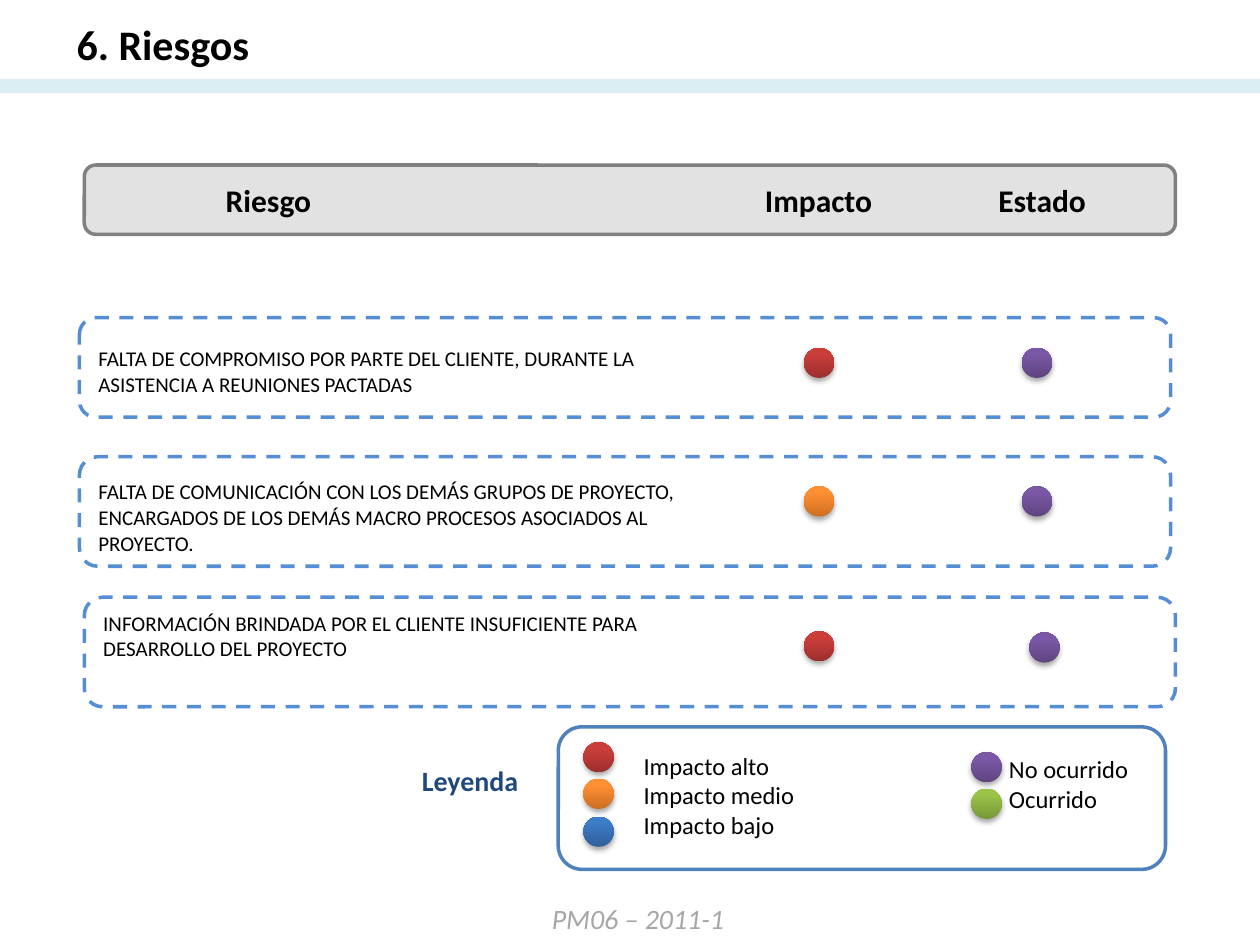
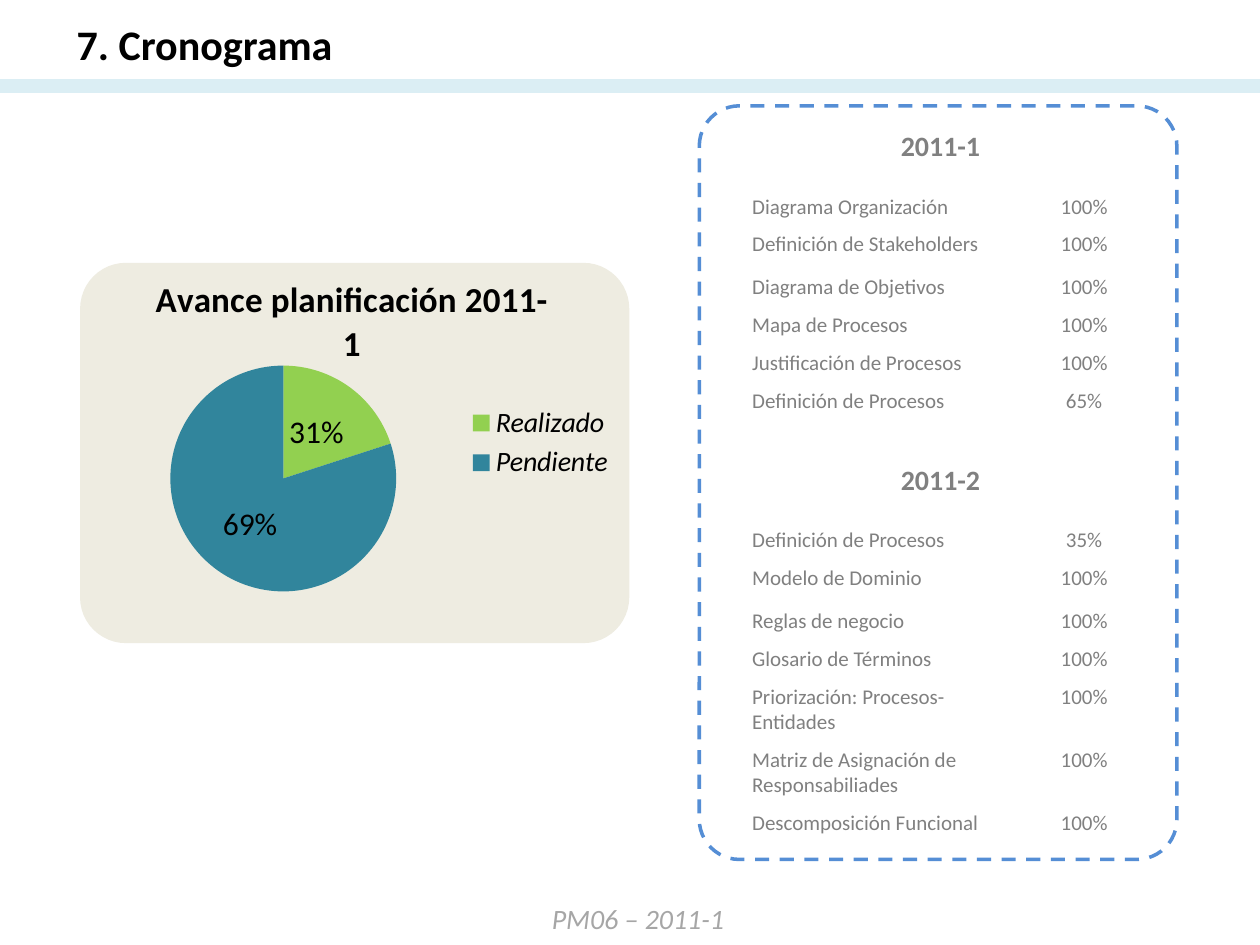
"""Build the risk and schedule slides of the project report."""
from dataclasses import dataclass

from lxml import etree
from pptx import Presentation
from pptx.chart.data import CategoryChartData
from pptx.dml.color import RGBColor
from pptx.enum.chart import XL_CHART_TYPE, XL_LABEL_POSITION, XL_LEGEND_POSITION
from pptx.enum.dml import MSO_LINE
from pptx.enum.shapes import MSO_CONNECTOR, MSO_SHAPE
from pptx.enum.text import PP_ALIGN
from pptx.oxml.ns import qn
from pptx.util import Pt

PIE = XL_CHART_TYPE.PIE
MIDDLE = XL_LABEL_POSITION.CENTER
RIGHT = XL_LEGEND_POSITION.RIGHT
DASH = MSO_LINE.DASH
STRAIGHT = MSO_CONNECTOR.STRAIGHT
ROUND = MSO_SHAPE.ROUNDED_RECTANGLE
OVAL = MSO_SHAPE.OVAL
LEFT = PP_ALIGN.LEFT
CENTER = PP_ALIGN.CENTER
FONT = "Calibri"
DOT = 17.3

COLORS = {
    "black": "000000", "band": "DBEEF4", "foot": "A6A6A6", "gray": "808080",
    "head": "BFBFBF", "dash": "558ED5", "frame": "4F81BD", "navy": "1F497D",
    "card": "EEECE1", "done": "92D050", "open": "31859C",
}
DOTS = {
    "red": ("9C2F2D", "CB3E3A"), "orange": ("CC6E20", "FF9034"),
    "blue": ("2F5F99", "3D7CC7"), "purple": ("5F4480", "7B58A6"),
    "green": ("779737", "9BC348"),
}


@dataclass
class Style:
    size: float
    color: str = "black"
    bold: bool = False
    italic: bool = False
    align: PP_ALIGN = LEFT


@dataclass
class Box:
    x: float
    y: float
    w: float
    h: float

    def spread(self) -> list:
        return [Pt(v) for v in (self.x, self.y, self.w, self.h)]


@dataclass
class Label:
    text: str
    box: Box
    style: Style
    wrap: bool = True


@dataclass
class Risk:
    text: str
    box: Box
    top: float
    high: float
    impact: str
    spots: tuple


@dataclass
class Term:
    name: str
    top: float
    tasks: list
    rows: list


HEAD = Style(18, bold=True, align=CENTER)
TASK = Style(12, "gray")
SHARE = Style(12, "gray", align=CENTER)
PERIOD = Style(16, "gray", bold=True, align=CENTER)

HEADS = [
    Label("Riesgo", Box(99.4, 100, 108, 28.8), HEAD),
    Label("Impacto", Box(405.4, 100, 124.6, 28.8), HEAD),
    Label("Estado", Box(553, 100, 85, 28.8), HEAD),
]
RISKS = [
    Risk("FALTA DE COMPROMISO POR PARTE DEL CLIENTE, DURANTE LA ASISTENCIA A "
         "REUNIONES PACTADAS", Box(45.4, 181.5, 623.5, 56.9), 187.2, 50.4,
         "red", ((459.4, 198.7), (583.9, 198.7))),
    Risk("FALTA DE COMUNICACIÓN CON LOS DEMÁS GRUPOS DE PROYECTO, ENCARGADOS DE "
         "LOS DEMÁS MACRO PROCESOS ASOCIADOS AL PROYECTO.",
         Box(45.4, 261, 623.5, 62.6), 263.5, 77,
         "orange", ((459.4, 277.9), (583.9, 277.9))),
    Risk("INFORMACIÓN BRINDADA POR EL CLIENTE INSUFICIENTE PARA\n"
         "DESARROLLO DEL PROYECTO", Box(48.2, 341.3, 623.5, 62.6), 338.4, 50.4,
         "red", ((459.4, 360.7), (588.2, 361.4))),
]
KEY = [
    Label("Impacto alto\nImpacto medio\nImpacto bajo",
          Box(360.7, 425.5, 198.7, 58.3), Style(14)),
    Label("No ocurrido\nOcurrido", Box(569.5, 427.5, 198.7, 41), Style(14)),
    Label("Leyenda", Box(234, 432.7, 198.7, 26.6), Style(16, "navy", bold=True)),
]
MARKS = [
    ("red", 333.4, 424.1), ("orange", 333.4, 445), ("blue", 333.4, 466.6),
    ("purple", 555.1, 429.8), ("green", 555.1, 450.7),
]
ROWS = [36.7, 20.9, 24.5, 21.6, 21.6, 21.6, 28.1]
TERMS = [
    Term("2011-1", 70.6, [
        ("Diagrama Organización", "100%"), ("Definición de Stakeholders", "100%"),
        ("Diagrama de Objetivos", "100%"), ("Mapa de Procesos", "100%"),
        ("Justificación de Procesos", "100%"), ("Definición de Procesos", "65%"),
    ], ROWS),
    Term("2011-2", 261.4, [
        ("Definición de Procesos", "35%"), ("Modelo de Dominio", "100%"),
        ("Reglas de negocio", "100%"), ("Glosario de Términos", "100%"),
        ("Priorización: Procesos-Entidades", "100%"),
        ("Matriz de Asignación de Responsabiliades", "100%"),
        ("Descomposición Funcional", "100%"),
    ], ROWS + [28.1]),
]


def shade(name: str) -> RGBColor:
    return RGBColor.from_string(COLORS[name])


def dress(font, style: Style) -> None:
    font.name, font.size = FONT, Pt(style.size)
    font.bold, font.italic = style.bold, style.italic
    font.color.rgb = shade(style.color)


def write(frame, text: str, style: Style) -> None:
    frame.text = text
    for para in frame.paragraphs:
        para.alignment = style.align
        for run in para.runs:
            dress(run.font, style)


def label(slide, item: Label) -> None:
    frame = slide.shapes.add_textbox(*item.box.spread()).text_frame
    frame.word_wrap = item.wrap
    write(frame, item.text, item.style)


def panel(slide, box: Box, line: str, fill: str = "", dash: bool = False,
          curve: float = 0.1667):
    shape = slide.shapes.add_shape(ROUND, *box.spread())
    shape.shadow.inherit = False
    shape.adjustments[0] = curve
    shape.line.color.rgb = shade(line)
    shape.line.width = Pt(2)
    if dash:
        shape.line.dash_style = DASH
    if fill:
        shape.fill.solid()
        shape.fill.fore_color.rgb = shade(fill)
    else:
        shape.fill.background()
    return shape


def dot(slide, name: str, x: float, y: float) -> None:
    shape = slide.shapes.add_shape(OVAL, *Box(x, y, DOT, DOT).spread())
    shape.line.fill.background()
    shape.fill.gradient()
    shape.fill.gradient_angle = 90
    stops = shape.fill.gradient_stops
    for stop, tone, place in zip(stops, DOTS[name], (0, 0.8)):
        stop.color.rgb = RGBColor.from_string(tone)
        stop.position = place
    shape.shadow.inherit = False
    effect = shape._element.spPr.find(qn("a:effectLst"))
    cast = etree.SubElement(effect, qn("a:outerShdw"), blurRad=str(Pt(3.1)),
                            dist=str(Pt(1.8)), dir="5400000", rotWithShape="0")
    tone = etree.SubElement(cast, qn("a:srgbClr"), val=COLORS["black"])
    etree.SubElement(tone, qn("a:alpha"), val="35000")


def grid(slide, box: Box, cols: list, rows: list):
    table = slide.shapes.add_table(len(rows), len(cols), *box.spread()).table
    for col, width in zip(table.columns, cols):
        col.width = Pt(width)
    for row, height in zip(table.rows, rows):
        row.height = Pt(height)
    for cell in table.iter_cells():
        cell.fill.background()
    return table


def start(deck, title: str):
    slide = deck.slides.add_slide(deck.slide_layouts[6])
    band = slide.shapes.add_connector(STRAIGHT, 0, Pt(49), Pt(720), Pt(49))
    band.line.color.rgb = shade("band")
    band.line.width = Pt(8)
    etree.SubElement(band._element.spPr, qn("a:effectLst"))
    label(slide, Label(title, Box(36.7, 7.2, 362.9, 36), Style(24, bold=True)))
    label(slide, Label("PM06 – 2011-1", Box(308.2, 511.9, 114.5, 26.6),
                       Style(16, "foot", italic=True), wrap=False))
    return slide


def entry(slide, risk: Risk) -> None:
    area = Box(risk.box.x, risk.top, 612.8, risk.high)
    cell = grid(slide, area, [358.6, 111.6, 142.6], [risk.high]).cell(0, 0)
    cell.margin_left = cell.margin_right = Pt(10.8)
    cell.margin_top = cell.margin_bottom = Pt(10.8)
    write(cell.text_frame, risk.text, Style(12))
    panel(slide, risk.box, "dash", dash=True)
    for name, spot in zip((risk.impact, "purple"), risk.spots):
        dot(slide, name, *spot)


def risks(deck) -> None:
    slide = start(deck, "6. Riesgos")
    head = panel(slide, Box(48.2, 94.3, 623.5, 39.6), "gray", "head")
    tone = head._element.spPr.find(qn("a:solidFill"))[0]
    etree.SubElement(tone, qn("a:alpha"), val="45000")
    for risk in RISKS:
        entry(slide, risk)
    panel(slide, Box(319, 415.4, 347, 81.4), "frame")
    for item in HEADS + KEY:
        label(slide, item)
    for mark in MARKS:
        dot(slide, *mark)


def place(parent, index: int, **sides: float) -> None:
    for old in parent.findall(qn("c:layout")):
        parent.remove(old)
    layout = etree.Element(qn("c:layout"))
    manual = etree.SubElement(layout, qn("c:manualLayout"))
    if "w" in sides:
        etree.SubElement(manual, qn("c:layoutTarget"), val="inner")
    for axis in "xy":
        etree.SubElement(manual, qn(f"c:{axis}Mode"), val="edge")
    for side, value in sides.items():
        etree.SubElement(manual, qn(f"c:{side}"), val=str(value))
    parent.insert(index, layout)


def pie(slide) -> None:
    data = CategoryChartData()
    data.categories = ["Realizado", "Pendiente"]
    data.add_series("Series 1", (20, 80))
    box = Box(58.3, 139.7, 300.2, 226.8)
    chart = slide.shapes.add_chart(PIE, *box.spread(), data).chart
    dress(chart.font, Style(18))
    chart.has_title = True
    write(chart.chart_title.text_frame, "Avance planificación 2011-1",
          Style(20, bold=True, align=CENTER))
    place(chart.chart_title._element, 1, x=0.09, y=0.06)
    place(chart.element.find(".//" + qn("c:plotArea")), 0,
          x=0.13, y=0.3, w=0.43, h=0.58)
    chart.has_legend = True
    chart.legend.position = RIGHT
    chart.legend.include_in_layout = False
    dress(chart.legend.font, Style(16, italic=True))
    plot = chart.plots[0]
    plot.vary_by_categories = True
    plot.has_data_labels = True
    plot.data_labels.show_percentage = True
    plot.data_labels.show_value = False
    for index, (name, text) in enumerate((("done", "31%"), ("open", "69%"))):
        point = plot.series[0].points[index]
        point.format.fill.solid()
        point.format.fill.fore_color.rgb = shade(name)
        write(point.data_label.text_frame, text, Style(18, align=CENTER))
        point.data_label.position = MIDDLE


def agenda(slide, term: Term) -> None:
    area = Box(422.6, term.top, 229.7, sum(term.rows))
    table = grid(slide, area, [164.2, 65.5], term.rows)
    table.cell(0, 0).merge(table.cell(0, 1))
    write(table.cell(0, 0).text_frame, term.name, PERIOD)
    for row, (task, share) in enumerate(term.tasks, 1):
        write(table.cell(row, 0).text_frame, task, TASK)
        write(table.cell(row, 1).text_frame, share, SHARE)


def plan(deck) -> None:
    slide = start(deck, "7. Cronograma")
    panel(slide, Box(46.8, 151.2, 311.8, 215.3), "card", "card", curve=0.117)
    pie(slide)
    for term in TERMS:
        agenda(slide, term)
    panel(slide, Box(399.6, 60.5, 272.9, 430.6), "dash", dash=True, curve=0.084)


def main() -> None:
    deck = Presentation()
    deck.slide_width, deck.slide_height = Pt(720), Pt(540)
    risks(deck)
    plan(deck)
    deck.save("out.pptx")


if __name__ == "__main__":
    main()
